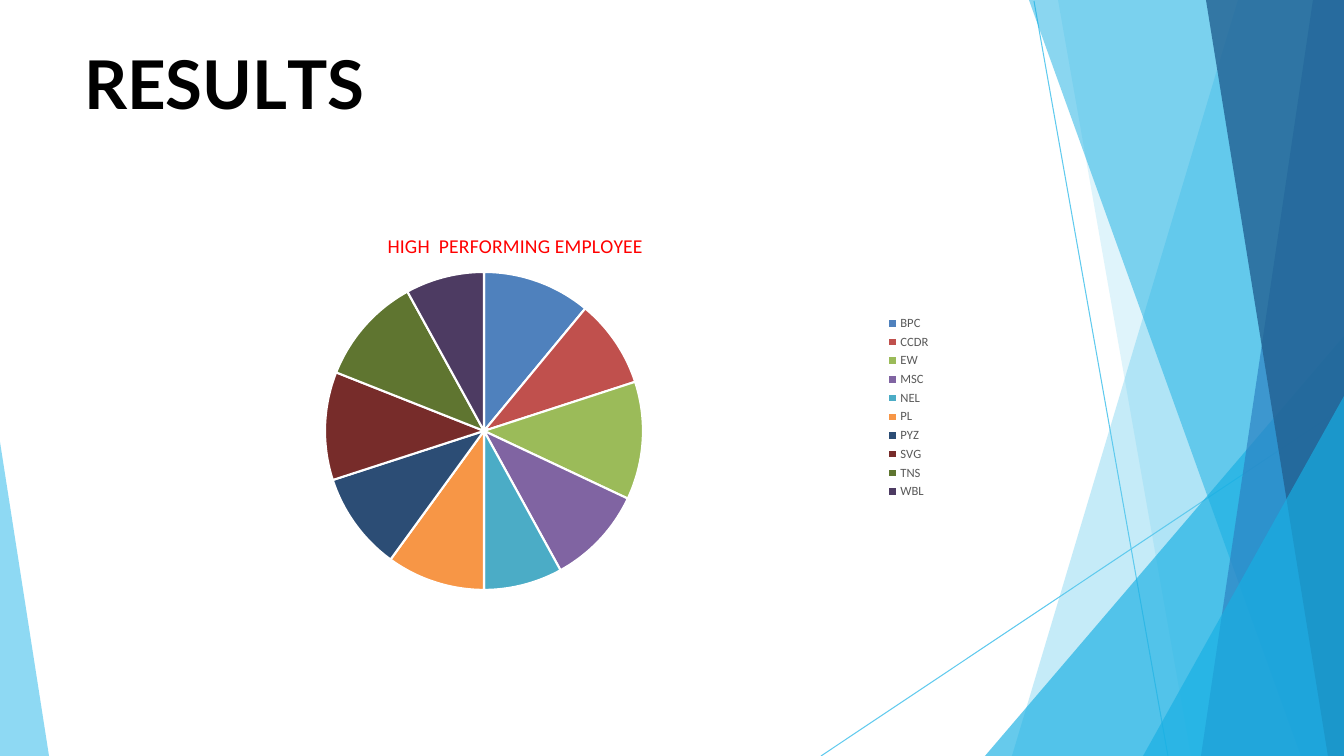
"""Build the RESULTS slide with its pie of high performing employees."""
from lxml.etree import SubElement
from pptx import Presentation
from pptx.chart.data import CategoryChartData
from pptx.dml.color import RGBColor
from pptx.enum.chart import XL_CHART_TYPE, XL_LEGEND_POSITION
from pptx.enum.shapes import MSO_CONNECTOR
from pptx.enum.text import MSO_ANCHOR, PP_ALIGN
from pptx.oxml.ns import qn
from pptx.util import Pt

WIDTH, HEIGHT = 1344, 756
SCALE = 12192000 / WIDTH

TITLE_BOX = (84, 42, 354, 80)
TITLE_LETTERS = [("R", 0), ("E", -40), ("S", 10), ("U", -30), ("L", -400), ("TS", 0)]

CHART_BOX = (84, 210, 857, 395)
PIE_BOX = (325, 272, 318, 318)
CHART_TITLE_AT = (384, 229)
CHART_TITLE = "HIGH  PERFORMING EMPLOYEE"
UNITS = [
    ("BPC", 11, "4F81BD"),
    ("CCDR", 9, "C0504D"),
    ("EW", 12, "9BBB59"),
    ("MSC", 10, "8064A2"),
    ("NEL", 8, "4BACC6"),
    ("PL", 10, "F79646"),
    ("PYZ", 10, "2C4D75"),
    ("SVG", 11, "772C2A"),
    ("TNS", 11, "5F7530"),
    ("WBL", 8, "4D3B62"),
]

RAYS = [(1034, 1, 1168, 756), (1344, 407, 821, 756)]
CORNER = (WIDTH, HEIGHT)
FACETS = [
    ("5FCAEE", 36, [(1344, 0), (1238, 0), (1012, 756), CORNER]),
    ("5FCAEE", 20, [(1344, 0), (1058, 0), (1191, 756), CORNER]),
    ("17AFE3", 66, [(1344, 336), (985, 756), CORNER]),
    ("17AFE3", 50, [(1344, 0), (1029, 0), (1301, 756), CORNER]),
    ("2D83C3", 70, [(1344, 0), (1313, 0), (1201, 756), CORNER]),
    ("226192", 80, [(1344, 0), (1206, 0), (1328, 756), CORNER]),
    ("17AFE3", 66, [(1344, 396), (1143, 756), CORNER]),
    ("5FCAEE", 70, [(0, 442), (0, 756), (49, 756)]),
]


def emu(*lengths):
    return [round(length * SCALE) for length in lengths]


def color(value):
    return RGBColor.from_string(value)


def style(font, size, value, face="Calibri", bold=False):
    font.size, font.name, font.bold = Pt(size), face, bold
    font.color.rgb = color(value)


def add_ray(slide, ends):
    ray = slide.shapes.add_connector(MSO_CONNECTOR.STRAIGHT, *emu(*ends))
    ray.line.color.rgb = color("5FCAEE")
    ray.line.width = Pt(0.75)
    SubElement(ray._element.spPr, qn("a:effectLst"))


def add_facet(slide, value, opacity, corners):
    outline = slide.shapes.build_freeform(*corners[0], scale=SCALE)
    outline.add_line_segments(corners[1:], close=True)
    facet = outline.convert_to_shape()
    facet.shadow.inherit = False
    facet.line.fill.background()
    facet.fill.solid()
    facet.fill.fore_color.rgb = color(value)
    tint = facet._element.spPr.find(".//" + qn("a:srgbClr"))
    SubElement(tint, qn("a:alpha"), val=str(opacity * 1000))


def fill_title(title):
    title.left, title.top, title.width, title.height = emu(*TITLE_BOX)
    frame = title.text_frame
    frame.margin_left = frame.margin_top = frame.margin_right = frame.margin_bottom = 0
    frame.vertical_anchor = MSO_ANCHOR.TOP
    frame.word_wrap = True
    heading = frame.paragraphs[0]
    heading.alignment = PP_ALIGN.LEFT
    for letters, spacing in TITLE_LETTERS:
        run = heading.add_run()
        run.text = letters
        style(run.font, 48, "000000", "Lato", True)
        run._r.get_or_add_rPr().set("spc", str(spacing))


def place(part, index, box, inner=False):
    """Give a chart part a fixed place inside the chart."""
    for old in part.findall(qn("c:layout")):
        part.remove(old)
    left, top, width, height = CHART_BOX
    shares = [(box[0] - left) / width, (box[1] - top) / height]
    shares += [length / whole for length, whole in zip(box[2:], (width, height))]
    layout = SubElement(part, qn("c:layout"))
    part.insert(index, layout)
    manual = SubElement(layout, qn("c:manualLayout"))
    if inner:
        SubElement(manual, qn("c:layoutTarget"), val="inner")
    for mode in ("xMode", "yMode"):
        SubElement(manual, qn("c:" + mode), val="edge")
    for side, share in zip("xywh", shares):
        SubElement(manual, qn("c:" + side), val=f"{share:.4f}")


def add_pie(slide):
    names, values, _ = zip(*UNITS)
    data = CategoryChartData()
    data.categories = names
    data.add_series("Series 1", values)
    chart = slide.shapes.add_chart(XL_CHART_TYPE.PIE, *emu(*CHART_BOX), data).chart
    style(chart.font, 10, "000000")

    heading = chart.chart_title.text_frame
    heading.text = CHART_TITLE
    style(heading.paragraphs[0].runs[0].font, 14, "FF0000")

    chart.has_legend = True
    chart.legend.position = XL_LEGEND_POSITION.RIGHT
    chart.legend.include_in_layout = False
    style(chart.legend.font, 9, "595959")

    pie = chart.plots[0]
    pie.vary_by_categories = True
    for index, (_, _, value) in enumerate(UNITS):
        wedge = pie.series[0].points[index].format
        wedge.fill.solid()
        wedge.fill.fore_color.rgb = color(value)
        wedge.line.color.rgb = color("FFFFFF")
        wedge.line.width = Pt(1.5)

    root = chart._chartSpace.find(qn("c:chart"))
    place(root.find(qn("c:title")), 1, CHART_TITLE_AT)
    place(root.find(qn("c:plotArea")), 0, PIE_BOX, inner=True)


def main():
    deck = Presentation()
    deck.slide_width, deck.slide_height = emu(WIDTH, HEIGHT)
    slide = deck.slides.add_slide(deck.slide_layouts[5])
    for ends in RAYS:
        add_ray(slide, ends)
    for facet in FACETS:
        add_facet(slide, *facet)
    fill_title(slide.shapes.title)
    add_pie(slide)
    deck.save("out.pptx")


if __name__ == "__main__":
    main()
